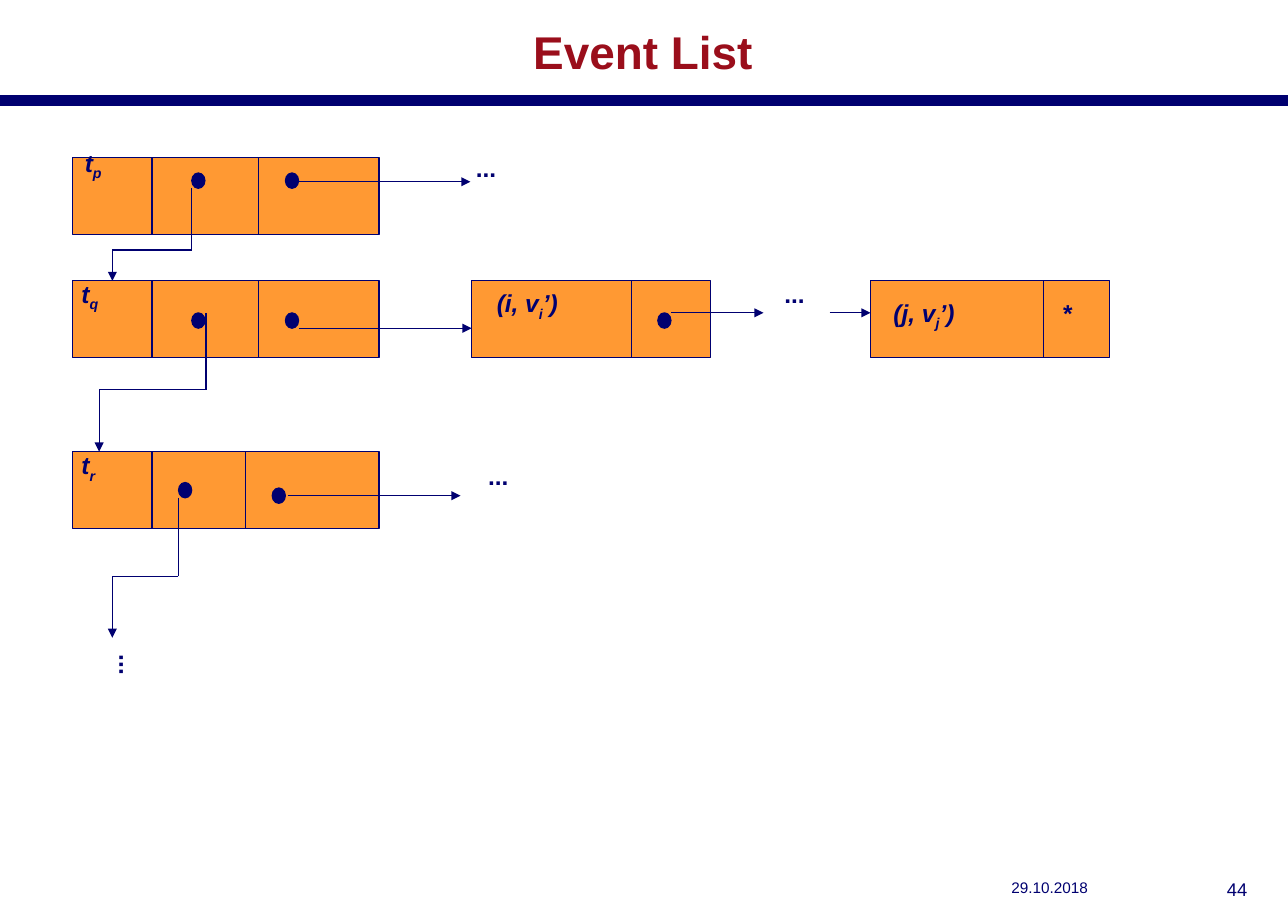
from dataclasses import dataclass

from lxml.etree import SubElement
from pptx import Presentation
from pptx.dml.color import RGBColor
from pptx.enum.shapes import MSO_CONNECTOR, MSO_SHAPE
from pptx.enum.text import MSO_ANCHOR, PP_ALIGN
from pptx.oxml.ns import qn
from pptx.util import Inches, Pt


@dataclass(frozen=True)
class Theme:
    font: str = "Arial"
    navy: RGBColor = RGBColor(0x00, 0x00, 0x70)
    red: RGBColor = RGBColor(0x9A, 0x0E, 0x1B)
    orange: RGBColor = RGBColor(0xFF, 0x99, 0x33)
    title: float = 30
    label: float = 16
    number: float = 12
    date: float = 10
    line: float = 0.75
    rule: float = 7.09


@dataclass(frozen=True)
class Record:
    """A box split into fields by vertical dividers."""
    left: float
    top: float
    width: float
    dividers: tuple[float, ...]


@dataclass(frozen=True)
class Label:
    """Text in pieces: every second piece is a subscript."""
    pieces: tuple[str, ...]
    left: float
    top: float
    width: float
    italic: bool = True
    wrap: bool = True
    rotation: float = 0


THEME = Theme()
RECORD_H = 0.7
DOT_W, DOT_H = 0.12, 0.14
LABEL_H = 0.38

RECORDS = (
    Record(0.66, 1.43, 2.78, (1.38, 2.35)),
    Record(0.66, 2.55, 2.78, (1.38, 2.35)),
    Record(0.66, 4.1, 2.78, (1.38, 2.23)),
    Record(4.28, 2.55, 2.17, (5.73,)),
    Record(7.9, 2.55, 2.17, (9.47,)),
)
DOTS = ((1.74, 1.57), (2.59, 1.57), (1.74, 2.84), (2.59, 2.84),
        (1.62, 4.38), (2.47, 4.43), (5.97, 2.84))
# Each route is a chain of points that ends in an arrowhead.
ROUTES = (
    ((1.74, 1.71), (1.74, 2.27), (1.02, 2.27), (1.02, 2.55)),
    ((1.87, 2.84), (1.87, 3.54), (0.9, 3.54), (0.9, 4.1)),
    ((1.62, 4.52), (1.62, 5.23), (1.02, 5.23), (1.02, 5.79)),
    ((2.7, 1.65), (4.27, 1.65)),
    ((2.71, 2.98), (4.28, 2.98)),
    ((2.61, 4.5), (4.18, 4.5)),
    ((6.09, 2.84), (6.93, 2.84)),
    ((7.53, 2.84), (7.9, 2.84)),
)
LABELS = (
    Label(("t", "p"), 0.66, 1.29, 0.83),
    Label(("t", "q"), 0.63, 2.48, 0.84),
    Label(("t", "r"), 0.63, 4.04, 0.84),
    Label(("(i, v", "i", "’)"), 4.4, 2.57, 1.26),
    Label(("(j, v", "j", "’)"), 8, 2.66, 1.26),
    Label(("*",), 9.53, 2.66, 0.36),
    Label(("...",), 4.21, 1.34, 0.41, italic=False, wrap=False),
    Label(("...",), 7.01, 2.48, 0.41, italic=False, wrap=False),
    Label(("...",), 4.32, 4.14, 0.41, italic=False, wrap=False),
    Label(("...",), 0.96, 5.85, 0.41, italic=False, wrap=False, rotation=90),
)


def write(sp, *pieces: str, size: float = THEME.label, color: RGBColor = THEME.navy,
          bold: bool = False, italic: bool = False, align=PP_ALIGN.LEFT,
          anchor=MSO_ANCHOR.TOP, wrap: bool = True) -> None:
    """Fill a shape with one formatted line; every second piece is a subscript."""
    tf = sp.text_frame
    tf.word_wrap = wrap
    tf.vertical_anchor = anchor
    tf.margin_left = tf.margin_right = Inches(0.11)
    tf.margin_top = tf.margin_bottom = Inches(0.05)
    p = tf.paragraphs[0]
    p.alignment = align
    for i, piece in enumerate(pieces):
        r = p.add_run()
        r.text = piece
        r.font.name, r.font.size = THEME.font, Pt(size)
        r.font.bold, r.font.italic = bold, italic
        r.font.color.rgb = color
        if i % 2:
            r._r.get_or_add_rPr().set("baseline", "-25000")


def add_text(s, left: float, top: float, width: float, height: float, *pieces: str, **fmt):
    sp = s.shapes.add_textbox(Inches(left), Inches(top), Inches(width), Inches(height))
    write(sp, *pieces, **fmt)
    return sp


def add_filled(s, kind: MSO_SHAPE, left: float, top: float, width: float, height: float,
               fill: RGBColor) -> None:
    sp = s.shapes.add_shape(kind, Inches(left), Inches(top), Inches(width), Inches(height))
    sp.shadow.inherit = False
    sp.fill.solid()
    sp.fill.fore_color.rgb = fill
    sp.line.color.rgb = THEME.navy
    sp.line.width = Pt(THEME.line)


def add_line(s, start: tuple[float, float], end: tuple[float, float],
             width: float = THEME.line, arrow: bool = False) -> None:
    cx = s.shapes.add_connector(MSO_CONNECTOR.STRAIGHT, *map(Inches, start + end))
    cx.line.color.rgb = THEME.navy
    cx.line.width = Pt(width)
    if arrow:
        SubElement(cx.line._get_or_add_ln(), qn("a:tailEnd"), type="triangle")
    SubElement(cx._element.spPr, qn("a:effectLst"))


def add_record(s, record: Record) -> None:
    add_filled(s, MSO_SHAPE.RECTANGLE, record.left, record.top, record.width, RECORD_H,
               THEME.orange)
    for x in record.dividers:
        add_line(s, (x, record.top), (x, record.top + RECORD_H))


def add_route(s, points: tuple[tuple[float, float], ...]) -> None:
    for start, end in zip(points, points[1:]):
        add_line(s, start, end, arrow=end == points[-1])


def add_label(s, label: Label) -> None:
    sp = add_text(s, label.left, label.top, label.width, LABEL_H, *label.pieces,
                  bold=True, italic=label.italic, wrap=label.wrap)
    sp.rotation = label.rotation


def main() -> None:
    prs = Presentation()
    prs.slide_width, prs.slide_height = Inches(11.69), Inches(8.27)
    s = prs.slides.add_slide(prs.slide_layouts[5])

    title = s.shapes.title
    title.left, title.top = Inches(0.25), Inches(0.12)
    title.width, title.height = Inches(11.17), Inches(0.68)
    write(title, "Event List", size=THEME.title, color=THEME.red, bold=True,
          align=PP_ALIGN.CENTER, anchor=MSO_ANCHOR.MIDDLE)
    add_line(s, (0, 0.91), (11.69, 0.91), width=THEME.rule)

    for record in RECORDS:
        add_record(s, record)
    for left, top in DOTS:
        add_filled(s, MSO_SHAPE.OVAL, left, top, DOT_W, DOT_H, THEME.navy)
    for route in ROUTES:
        add_route(s, route)
    for label in LABELS:
        add_label(s, label)

    add_text(s, 9.07, 7.92, 1.65, 0.35, "29.10.2018", size=THEME.date)
    add_text(s, 10.88, 7.92, 0.55, 0.35, "44", size=THEME.number, align=PP_ALIGN.RIGHT)
    prs.save("out.pptx")


if __name__ == "__main__":
    main()
